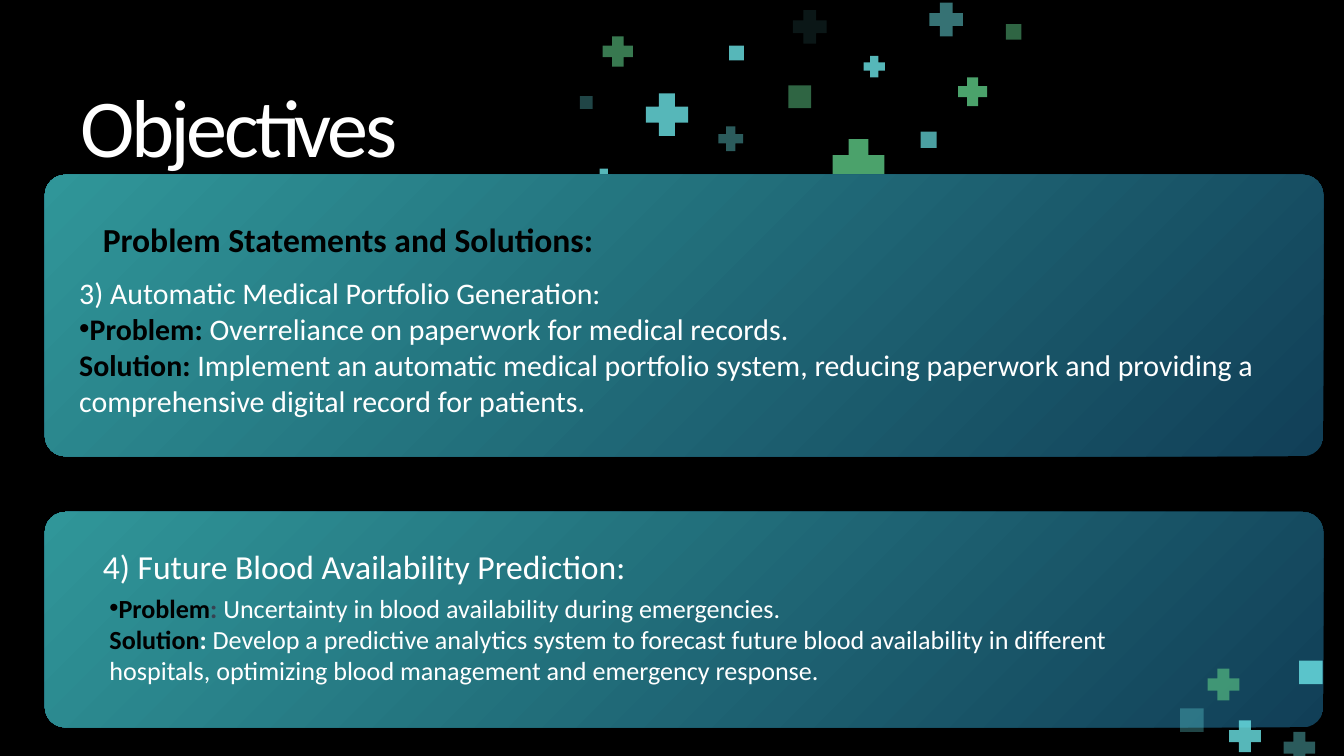
"""Build the Objectives slide with two gradient panels and scattered medical crosses."""
from dataclasses import dataclass

from lxml.etree import SubElement
from pptx import Presentation
from pptx.dml.color import RGBColor as Rgb
from pptx.enum.shapes import MSO_SHAPE as Preset
from pptx.oxml.ns import qn
from pptx.util import Pt


@dataclass(frozen=True)
class Theme:
    """Colours, font and type sizes."""
    font: str = "Calibri"
    black: str = "000000"
    white: str = "FFFFFF"
    grey: str = "374151"
    aqua: str = "6CE5E8"
    green: str = "5ECB86"
    teal: str = "309699"
    navy: str = "113F57"
    title: int = 88
    heading: int = 36
    body: int = 32
    detail: int = 28


THEME = Theme()
CROSS, SQUARE = Preset.CROSS, Preset.RECTANGLE
AQUA, GREEN = THEME.aqua, THEME.green
BLACK, WHITE = THEME.black, THEME.white
CROSS_ARM = 0.31
PANEL_LEFT, PANEL_WIDTH, PANEL_RADIUS = 48, 1370, 22
CORNER_CROSS, CORNER_SQUARE = 34, 25.2

TOP_MARKS = [
    (CROSS, 769.7, 135.4, 26.6, AQUA, 40),
    (CROSS, 691.9, 100.1, 45.4, AQUA, 80),
    (CROSS, 645.8, 38.9, 32.4, GREEN, 60),
    (CROSS, 892.1, 149, 55.4, GREEN, 80),
    (CROSS, 849.6, 10.8, 36, AQUA, 10),
    (CROSS, 635, 180.7, 23.8, AQUA, 80),
    (CROSS, 925.2, 59.8, 23, AQUA, 80),
    (CROSS, 995.8, 2.9, 36, AQUA, 50),
    (SQUARE, 781.2, 49, 15.8, AQUA, 80),
    (SQUARE, 621.4, 103, 13.7, AQUA, 30),
    (SQUARE, 844.6, 91.4, 24.5, GREEN, 50),
    (SQUARE, 986.4, 141.1, 17.3, AQUA, 70),
    (SQUARE, 1077.8, 25.9, 16.6, GREEN, 50),
    (CROSS, 1026.7, 82.8, 31, GREEN, 80),
]
CORNER_MARKS = [
    (CROSS, 1375.2, 784.1, CORNER_CROSS, AQUA, 40),
    (CROSS, 1316.9, 771.8, CORNER_CROSS, AQUA, 80),
    (CROSS, 1293.8, 716.4, CORNER_CROSS, GREEN, 60),
    (SQUARE, 1391.8, 707.8, CORNER_SQUARE, AQUA, 80),
    (SQUARE, 1264.3, 758.9, CORNER_SQUARE, AQUA, 30),
]

PORTFOLIO = [
    [("3) Automatic Medical Portfolio Generation:", WHITE, False)],
    [("Problem: ", BLACK, True),
     ("Overreliance on paperwork for medical records.\n", WHITE, False),
     ("Solution: ", BLACK, True),
     ("Implement an automatic medical portfolio system, reducing paperwork and "
      "providing a comprehensive digital record for patients.", WHITE, False)],
]
PREDICTION = [
    [("Problem", BLACK, True),
     (": ", THEME.grey, True),
     ("Uncertainty in blood availability during emergencies.\n", WHITE, False),
     ("Solution", BLACK, True),
     (":", WHITE, True),
     (" Develop a predictive analytics system to forecast future blood availability in "
      "different hospitals, optimizing blood management and emergency response.", WHITE, False)],
]


def rgb(color):
    """Turn a hex string into a colour."""
    return Rgb.from_string(color)


def add_plain_shape(slide, preset, left, top, width, height):
    """Add a preset shape without line or shadow."""
    shape = slide.shapes.add_shape(preset, Pt(left), Pt(top), Pt(width), Pt(height))
    shape.shadow.inherit = False
    shape.line.fill.background()
    return shape


def add_mark(slide, preset, left, top, size, color, opacity):
    """Add a translucent cross or square."""
    shape = add_plain_shape(slide, preset, left, top, size, size)
    if preset == CROSS:
        shape.adjustments[0] = CROSS_ARM
    shape.fill.solid()
    shape.fill.fore_color.rgb = rgb(color)
    color_element = shape._element.spPr.find(f"{qn('a:solidFill')}/{qn('a:srgbClr')}")
    SubElement(color_element, qn("a:alpha"), val=str(opacity * 1000))


def add_panel(slide, top, height):
    """Add a rounded panel with a gradient spreading from its top left corner."""
    shape = add_plain_shape(slide, Preset.ROUNDED_RECTANGLE, PANEL_LEFT, top, PANEL_WIDTH, height)
    shape.adjustments[0] = PANEL_RADIUS / height
    shape.fill.gradient()
    for stop, position, color in zip(shape.fill.gradient_stops, (0, 1), (THEME.teal, THEME.navy)):
        stop.position = position
        stop.color.rgb = rgb(color)
    gradient = shape._element.spPr.find(qn("a:gradFill"))
    gradient.remove(gradient.find(qn("a:lin")))
    circle = SubElement(gradient, qn("a:path"), path="circle")
    SubElement(circle, qn("a:fillToRect"), r="100000", b="100000")


def add_run(paragraph, text, size, color, bold):
    """Add a formatted run and return it."""
    run = paragraph.add_run()
    run.text = text
    for name, value in {"name": THEME.font, "size": Pt(size), "bold": bold}.items():
        setattr(run.font, name, value)
    run.font.color.rgb = rgb(color)
    return run


def add_text_frame(slide, left, top, width, height, inset_x=0, inset_y=0):
    """Add a wrapping text box and return its frame."""
    frame = slide.shapes.add_textbox(Pt(left), Pt(top), Pt(width), Pt(height)).text_frame
    margins = {"margin_left": inset_x, "margin_right": inset_x,
               "margin_top": inset_y, "margin_bottom": inset_y}
    for name, value in margins.items():
        setattr(frame, name, Pt(value))
    frame.word_wrap = True
    return frame


def add_title(slide, text):
    """Add the tightly spaced slide title."""
    paragraph = add_text_frame(slide, 86, 80.6, 503, 107).paragraphs[0]
    paragraph.line_spacing = Pt(105.6)
    run = add_run(paragraph, text, THEME.title, WHITE, False)
    run.font._element.set("spc", "-370")


def add_heading(slide, text, top, width, color, bold):
    """Add a one-line panel heading."""
    frame = add_text_frame(slide, 110.2, top, width, 44)
    add_run(frame.paragraphs[0], text, THEME.heading, color, bold)


def add_body(slide, box, paragraphs, size):
    """Add body paragraphs, the last one bulleted."""
    frame = add_text_frame(slide, *box, inset_x=7.2, inset_y=3.6)
    for index, runs in enumerate(paragraphs):
        paragraph = frame.add_paragraph() if index else frame.paragraphs[0]
        if runs is paragraphs[-1]:
            properties = paragraph._p.get_or_add_pPr()
            SubElement(properties, qn("a:buFont"), typeface="Arial")
            SubElement(properties, qn("a:buChar"), char="•")
        for text, color, bold in runs:
            add_run(paragraph, text.rstrip("\n"), size, color, bold)
            if text.endswith("\n"):
                paragraph.add_line_break()


def main():
    """Build and save the presentation."""
    presentation = Presentation()
    presentation.slide_width, presentation.slide_height = Pt(1440), Pt(810)
    slide = presentation.slides.add_slide(presentation.slide_layouts[6])
    slide.background.fill.solid()
    slide.background.fill.fore_color.rgb = rgb(BLACK)

    for mark in TOP_MARKS:
        add_mark(slide, *mark)
    add_title(slide, "Objectives")
    add_panel(slide, 187.2, 301.7)
    add_heading(slide, "Problem Statements and Solutions:", 234.7, 1088, BLACK, True)
    add_panel(slide, 548.6, 230.8)
    add_heading(slide, "4) Future Blood Availability Prediction:", 585.4, 1307, WHITE, False)
    for mark in CORNER_MARKS:
        add_mark(slide, *mark)
    add_body(slide, (77.8, 290.9, 1336.3, 162.7), PORTFOLIO, THEME.body)
    add_body(slide, (110.2, 630.7, 1157, 143.3), PREDICTION, THEME.detail)
    presentation.save("out.pptx")


if __name__ == "__main__":
    main()
